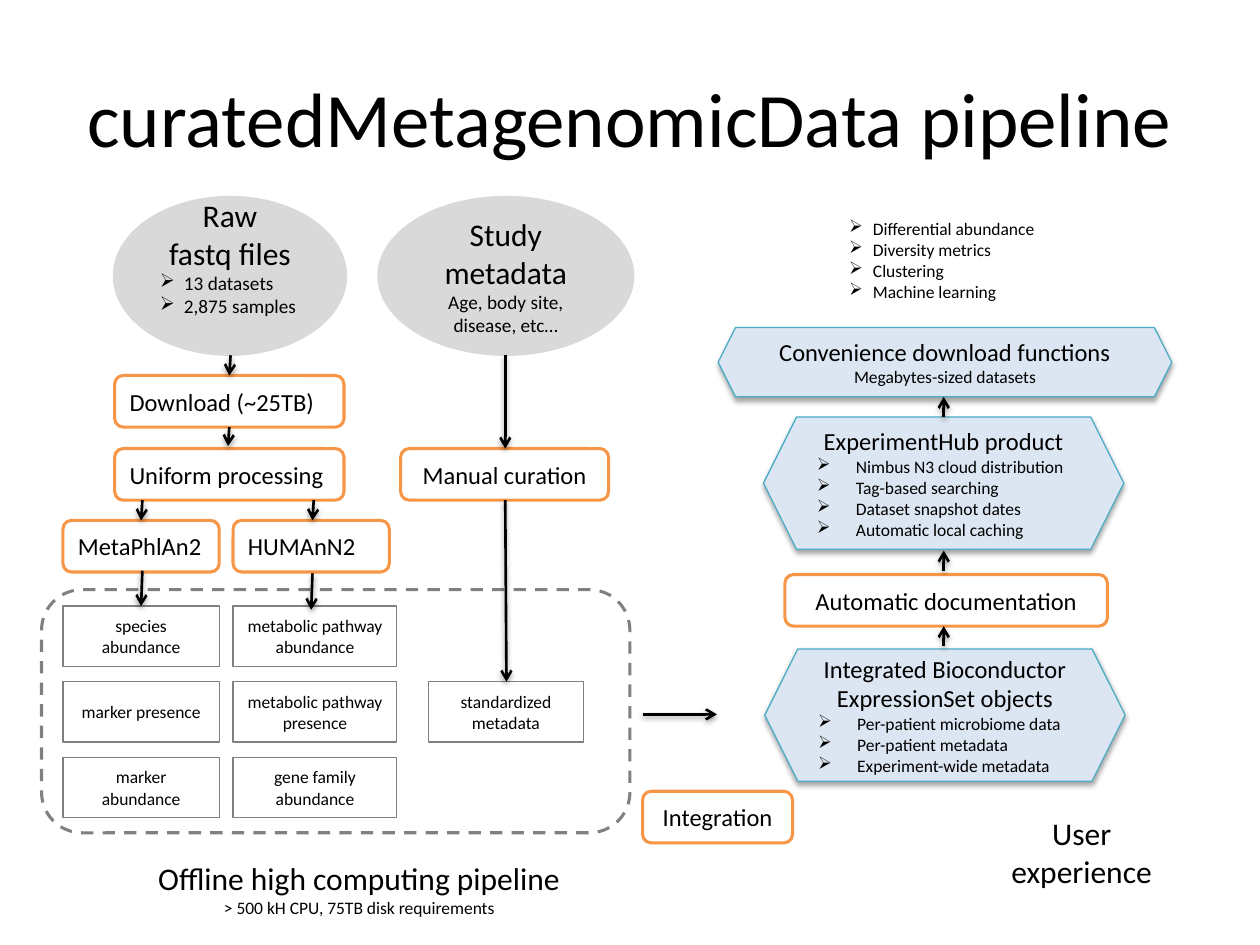
from lxml.etree import SubElement
from pptx import Presentation
from pptx.dml.color import RGBColor
from pptx.enum.dml import MSO_LINE
from pptx.enum.shapes import MSO_CONNECTOR, MSO_SHAPE as SHAPE
from pptx.enum.text import MSO_ANCHOR as ANCHOR, PP_ALIGN as ALIGN
from pptx.oxml.ns import qn
from pptx.util import Inches, Pt

BLACK, GRAY, SILVER = "000000", "808080", "D9D9D9"
ORANGE, PALE_BLUE, TEAL = "F79646", "DCE6F2", "4BACC6"

# Processing steps: text, left, top, width, centred
STEP_HEIGHT = 0.41
STEPS = [
    ("Download (~25TB)", 0.91, 2.98, 1.82, False),
    ("Uniform processing", 0.91, 3.56, 1.82, False),
    ("MetaPhlAn2", 0.5, 4.13, 1.24, False),
    ("HUMAnN2", 1.85, 4.13, 1.24, False),
    ("Manual curation", 3.18, 3.56, 1.65, True),
    ("Integration", 5.1, 6.28, 1.19, True),
    ("Automatic documentation", 6.23, 4.56, 2.56, True),
]

# Pipeline outputs: left, width, and one text per row
ROW_TOP, ROW_PITCH, ROW_HEIGHT = 4.81, 0.6, 0.48
OUTPUT_COLUMNS = [
    (0.5, 1.24, ["species abundance", "marker presence", "marker abundance"]),
    (1.85, 1.3, ["metabolic pathway abundance", "metabolic pathway presence",
                 "gene family abundance"]),
    (3.4, 1.23, [None, "standardized metadata"]),
]

# Inputs: left, width, bottom inset, headings, details, bulleted
SOURCES = [
    (0.9, 1.85, 0.35, ["Raw", "fastq files"], ["13 datasets", "2,875 samples"], True),
    (3, 2.03, 0.05, ["Study metadata"], ["Age, body site, disease, etc…"], False),
]

# Products: left, top, width, height, heading, details, bulleted
PRODUCTS = [
    (6.07, 5.15, 2.86, 1.05, "Integrated Bioconductor ExpressionSet objects",
     ["Per-patient microbiome data", "Per-patient metadata",
      "Experiment-wide metadata"], True),
    (6.06, 3.31, 2.86, 1.05, "ExperimentHub product",
     ["Nimbus N3 cloud distribution", "Tag-based searching",
      "Dataset snapshot dates", "Automatic local caching"], True),
    (5.7, 2.6, 3.6, 0.55, "Convenience download functions",
     ["Megabytes-sized datasets"], False),
]
ANALYSES = ["Differential abundance", "Diversity metrics", "Clustering",
            "Machine learning"]

# Arrows: start x, start y, end x, end y
ARROWS = [
    (1.83, 2.82, 1.82, 2.98), (1.82, 3.39, 1.81, 3.54),
    (1.13, 3.97, 1.12, 4.13), (2.49, 3.97, 2.48, 4.13),
    (1.13, 4.53, 1.12, 4.81), (2.48, 4.55, 2.47, 4.84),
    (4.01, 2.82, 4.01, 3.56), (4.01, 3.97, 4.02, 5.41),
    (5.1, 5.67, 5.69, 5.67),
    (7.49, 5.13, 7.49, 4.97), (7.49, 4.53, 7.49, 4.37), (7.49, 3.31, 7.49, 3.15),
]


def color(value):
    return RGBColor.from_string(value)


def add_text(frame, text, size=14, align=ALIGN.CENTER, indent=None):
    """Fill the empty first paragraph, or append one; indent makes a bullet."""
    first = frame.paragraphs[0]
    para = frame.add_paragraph() if first.runs else first
    para.alignment = align
    if indent:
        para.alignment = ALIGN.LEFT
        props = para._p.get_or_add_pPr()
        props.set("marL", str(Inches(indent)))
        props.set("indent", str(-Inches(indent)))
        SubElement(props, qn("a:buChar"), char="➢")
    span = para.add_run()
    span.text = text
    span.font.size = Pt(size)
    span.font.name = "Calibri"
    span.font.color.rgb = color(BLACK)


def add_box(page, kind, area, line, fill=None, width=0.75):
    box = page.shapes.add_shape(kind, *map(Inches, area))
    box.shadow.inherit = False
    if fill:
        box.fill.solid()
        box.fill.fore_color.rgb = color(fill)
    else:
        box.fill.background()
    box.line.color.rgb = color(line)
    box.line.width = Pt(width)
    box.text_frame.word_wrap = True
    box.text_frame.vertical_anchor = ANCHOR.MIDDLE
    return box


def add_label(page, area, wrap=False):
    frame = page.shapes.add_textbox(*map(Inches, area)).text_frame
    frame.word_wrap = wrap
    return frame


def add_shadow(shape, opacity, distance):
    props = shape._element.spPr
    effects = props.find(qn("a:effectLst"))
    if effects is None:
        effects = SubElement(props, qn("a:effectLst"))
    shadow = SubElement(effects, qn("a:outerShdw"), blurRad=str(Pt(3.1)),
                        dist=str(Pt(distance)), dir="5400000", rotWithShape="0")
    tint = SubElement(shadow, qn("a:srgbClr"), val=BLACK)
    SubElement(tint, qn("a:alpha"), val=str(opacity * 1000))


def add_arrow(page, points):
    arrow = page.shapes.add_connector(MSO_CONNECTOR.STRAIGHT, *map(Inches, points))
    arrow.line.color.rgb = color(BLACK)
    arrow.line.width = Pt(1.5)
    SubElement(arrow.line._get_or_add_ln(), qn("a:tailEnd"), type="arrow")
    add_shadow(arrow, 38, 1.6)


def main():
    deck = Presentation()
    deck.slide_width, deck.slide_height = Inches(10), Inches(7.5)
    page = deck.slides.add_slide(deck.slide_layouts[6])

    # Title
    title = add_label(page, (0.5, 0.3, 9, 1.25), wrap=True)
    title.vertical_anchor = ANCHOR.MIDDLE
    add_text(title, "curatedMetagenomicData pipeline", size=44)

    # Dashed frame around the outputs
    frame = add_box(page, SHAPE.ROUNDED_RECTANGLE, (0.33, 4.68, 4.67, 1.93), GRAY, width=1.75)
    frame.line.dash_style = MSO_LINE.DASH

    # Processing steps
    for text, left, top, width, centred in STEPS:
        step = add_box(page, SHAPE.ROUNDED_RECTANGLE, (left, top, width, STEP_HEIGHT),
                       ORANGE, width=1.75)
        add_text(step.text_frame, text, align=ALIGN.CENTER if centred else ALIGN.LEFT)

    # Outputs
    for left, width, texts in OUTPUT_COLUMNS:
        for row, text in enumerate(texts):
            if text:
                area = (left, ROW_TOP + row * ROW_PITCH, width, ROW_HEIGHT)
                output = add_box(page, SHAPE.RECTANGLE, area, GRAY)
                add_text(output.text_frame, text, size=10)

    # Inputs
    for left, width, inset, headings, details, bulleted in SOURCES:
        source = add_box(page, SHAPE.OVAL, (left, 1.56, width, 1.26), SILVER, SILVER)
        source.text_frame.margin_bottom = Inches(inset)
        for text in headings:
            add_text(source.text_frame, text, size=18)
        for text in details:
            add_text(source.text_frame, text, size=11, indent=0.19 if bulleted else None)

    # Products
    for *area, heading, details, bulleted in PRODUCTS:
        product = add_box(page, SHAPE.HEXAGON, area, TEAL, PALE_BLUE)
        add_shadow(product, 35, 1.8)
        add_text(product.text_frame, heading)
        for text in details:
            add_text(product.text_frame, text, size=10, indent=0.31 if bulleted else None)

    for points in ARROWS:
        add_arrow(page, points)

    # Captions
    offline = add_label(page, (1.14, 6.77, 3.42, 0.57))
    add_text(offline, "Offline high computing pipeline", size=18)
    add_text(offline, "> 500 kH CPU, 75TB disk requirements", size=10)
    analyses = add_label(page, (6.64, 1.68, 1.67, 0.94))
    for text in ANALYSES:
        add_text(analyses, text, size=10, indent=0.19)
    user = add_label(page, (7.92, 6.41, 1.33, 0.71))
    for text in ("User", "experience"):
        add_text(user, text, size=18)

    deck.save("out.pptx")


if __name__ == "__main__":
    main()
